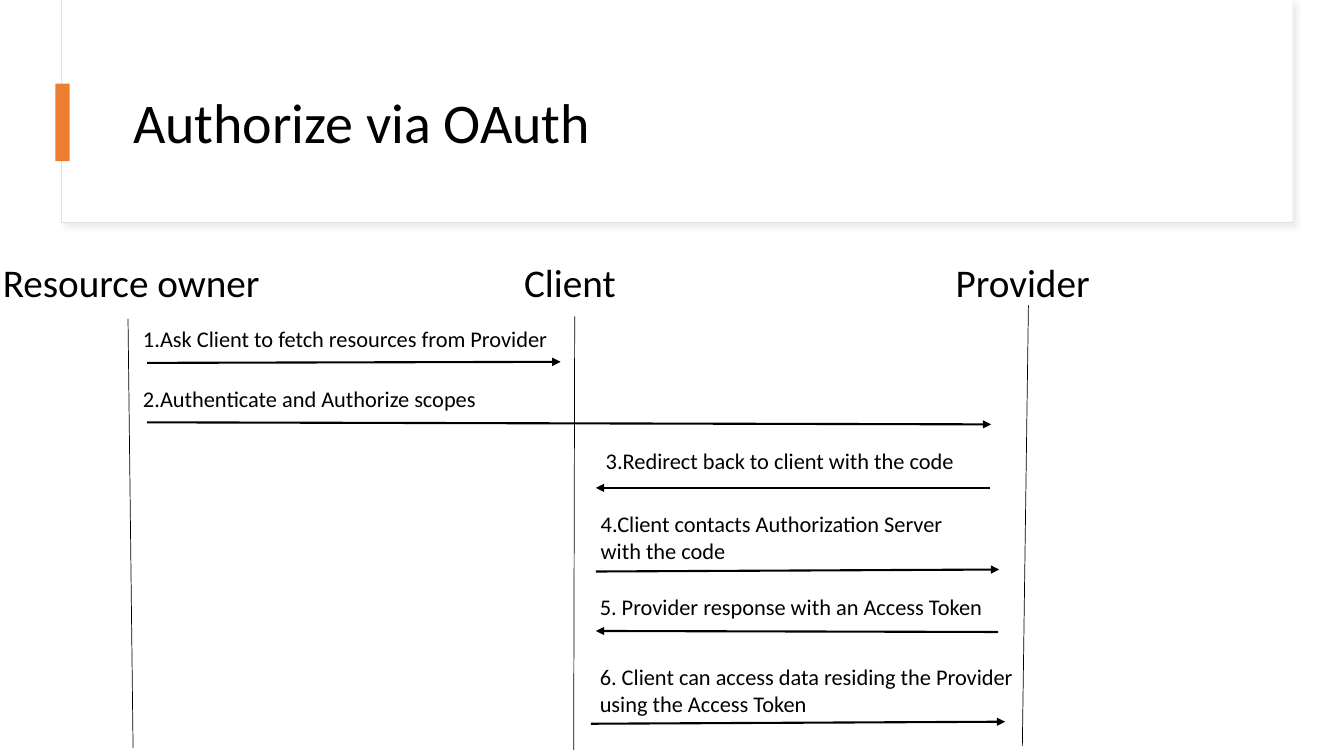
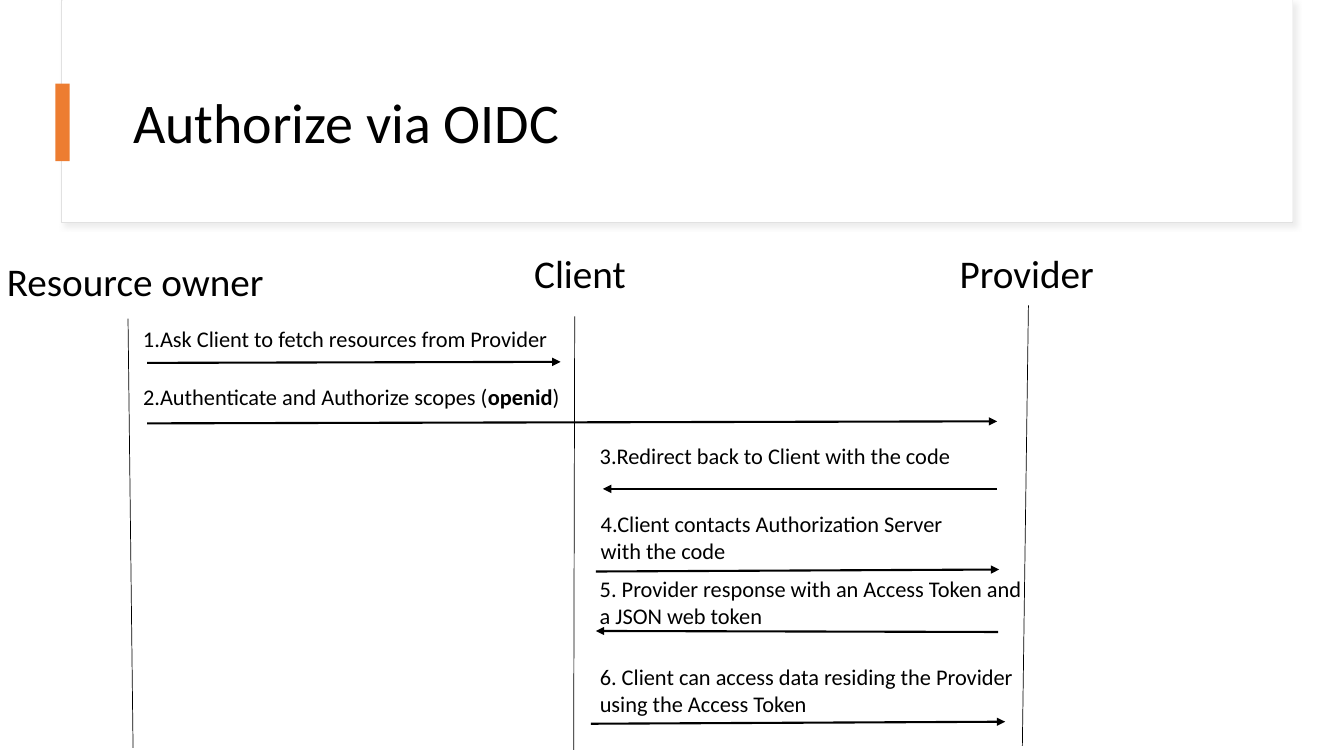
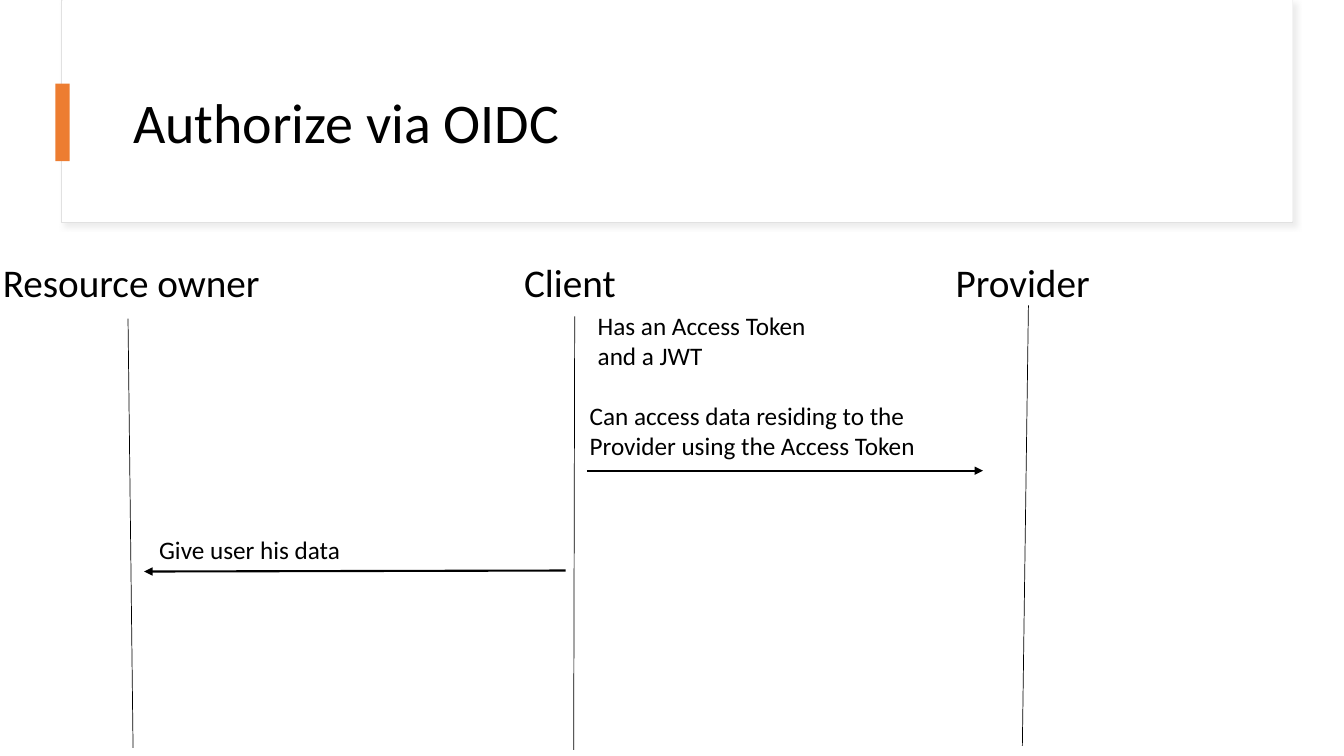
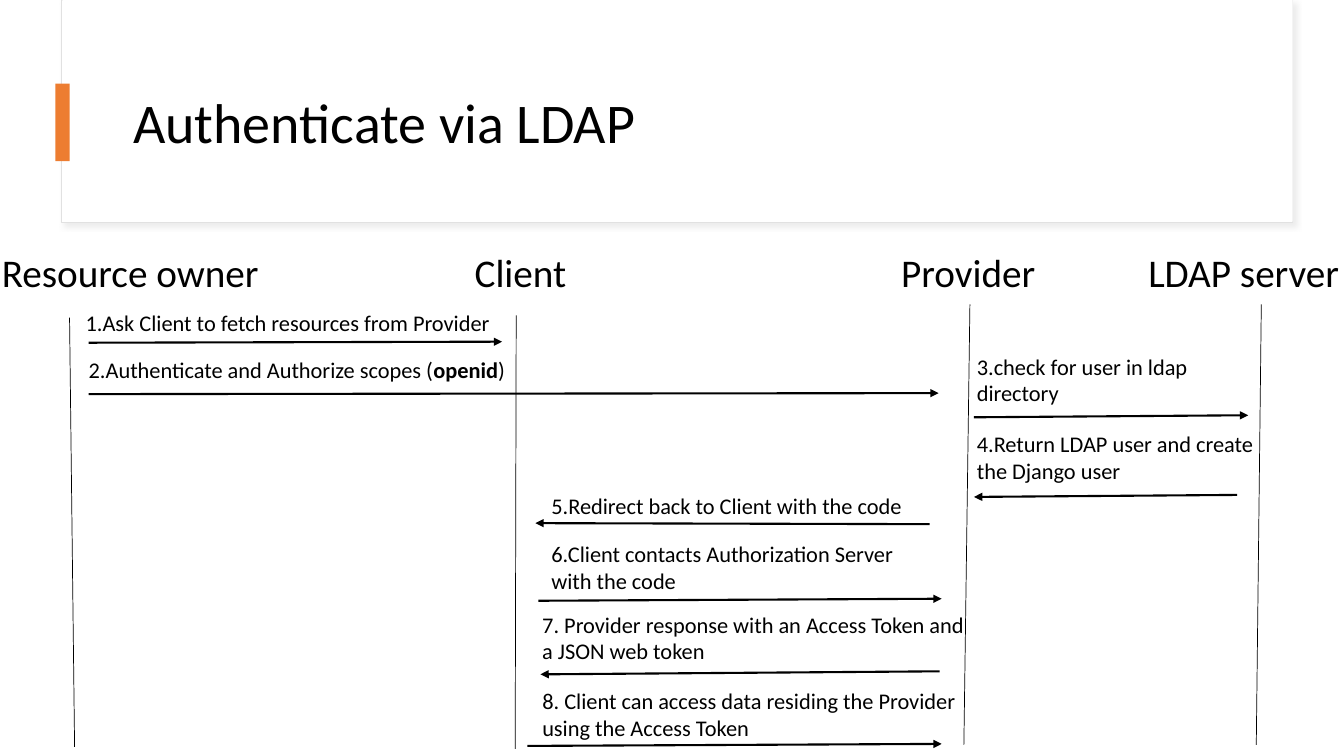
"""Builds four sequence diagrams of authorization and authentication flows."""
from lxml import etree
from pptx import Presentation
from pptx.dml.color import RGBColor
from pptx.enum.shapes import MSO_CONNECTOR, MSO_SHAPE
from pptx.enum.text import MSO_ANCHOR, MSO_AUTO_SIZE, PP_ALIGN
from pptx.oxml.ns import qn
from pptx.util import Inches, Pt

BLACK = RGBColor(0x00, 0x00, 0x00)
WHITE = RGBColor(0xFF, 0xFF, 0xFF)
BORDER = RGBColor(0xE1, 0xE1, 0xE1)
SHADOW = RGBColor(0xD9, 0xD9, 0xD9)
ORANGE = RGBColor(0xED, 0x7D, 0x31)
FONT = "Calibri"

RECTANGLE = MSO_SHAPE.RECTANGLE
STRAIGHT = MSO_CONNECTOR.STRAIGHT
MIDDLE = MSO_ANCHOR.MIDDLE
TOP = MSO_ANCHOR.TOP
LEFT = PP_ALIGN.LEFT
NO_FIT = MSO_AUTO_SIZE.NONE
GROW = MSO_AUTO_SIZE.SHAPE_TO_FIT_TEXT

TITLE_ONLY = 5
ONE_LINE = 0.37
TWO_LINES = 0.64
ACTOR_WIDTHS = {"Resource owner": 3.61, "Client": 2.1, "Provider": 1.97, "LDAP server": 2.32}
OWNER_LINE = ((1.27, 3.16), (1.32, 7.42))
CLIENT_LINE = ((5.7, 3.14), (5.69, 7.44))
PROVIDER_LINE = ((10.2, 3.03), (10.14, 7.4))

ASK = "1.Ask Client to fetch resources from Provider"
SCOPES = "2.Authenticate and Authorize scopes"
OPENID_SCOPES = SCOPES + " (openid)"
REDIRECT = "Redirect back to Client with the code"
CONTACT = "Client contacts Authorization Server with the\u00a0code"
RESPONSE = "Provider response with an Access Token"
JWT_RESPONSE = RESPONSE + " and\na JSON web token"
ACCESS = "Client can access data residing the Provider using the Access Token"


def write(frame, text, size=16, bold="", anchor=TOP, fit=GROW, spacing=1.0):
    """Fill a text frame, one paragraph a line, with one phrase optionally bold."""
    frame.word_wrap = True
    frame.auto_size = fit
    frame.vertical_anchor = anchor
    for index, line in enumerate(text.split("\n")):
        paragraph = frame.add_paragraph() if index else frame.paragraphs[0]
        paragraph.alignment = LEFT
        paragraph.line_spacing = spacing
        for part in line.partition(bold) if bold else (line,):
            run = paragraph.add_run()
            run.text = part
            run.font.name = FONT
            run.font.size = Pt(size)
            run.font.bold = part == bold
            run.font.color.rgb = BLACK


class SequenceDeck:
    """Holds the presentation style and the slide being drawn."""

    def __init__(self):
        self.prs = Presentation()
        self.prs.slide_width = Inches(13.33)
        self.prs.slide_height = Inches(7.5)
        self.slide = None

    def start(self, heading):
        self.slide = self.prs.slides.add_slide(self.prs.slide_layouts[TITLE_ONLY])
        band = self.block(0.61, 0, 12.21, 2.21, WHITE, BORDER)
        self.cast_shadow(band)
        face = self.block(0.62, 0, 12.2, 2.2, WHITE)
        title = self.slide.shapes.title
        title.left, title.top = Inches(1.22), Inches(0.6)
        title.width, title.height = Inches(11.12), Inches(1.29)
        write(title.text_frame, heading, size=40, anchor=MIDDLE, fit=NO_FIT, spacing=0.9)
        face.element.addnext(title.element)
        self.block(0.55, 0.83, 0.14, 0.77, ORANGE)

    def block(self, left, top, width, height, fill, border=None):
        block = self.slide.shapes.add_shape(
            RECTANGLE, Inches(left), Inches(top), Inches(width), Inches(height))
        block.shadow.inherit = False
        block.fill.solid()
        block.fill.fore_color.rgb = fill
        if border is None:
            block.line.fill.background()
        else:
            block.line.color.rgb = border
            block.line.width = Pt(0.75)
        return block

    def cast_shadow(self, block):
        effects = block.element.spPr.find(qn("a:effectLst"))
        outer = etree.SubElement(effects, qn("a:outerShdw"), blurRad=str(Pt(4)),
                                 dist=str(Pt(3)), dir=str(45 * 60000), algn="tl",
                                 rotWithShape="0")
        tint = etree.SubElement(outer, qn("a:srgbClr"), val=str(SHADOW))
        etree.SubElement(tint, qn("a:alpha"), val="50000")

    def label(self, text, left, top, width, height, **style):
        box = self.slide.shapes.add_textbox(
            Inches(left), Inches(top), Inches(width), Inches(height))
        write(box.text_frame, text, **style)

    def actors(self, top, **lefts_by_name):
        for key, left in lefts_by_name.items():
            name = key.replace("_", " ")
            self.label(name, left, top, ACTOR_WIDTHS[name], 0.57, size=28)

    def line(self, start, end, weight):
        line = self.slide.shapes.add_connector(
            STRAIGHT, *(Inches(value) for value in (*start, *end)))
        line.line.color.rgb = BLACK
        line.line.width = Pt(weight)
        etree.SubElement(line.element.spPr, qn("a:effectLst"))
        return line

    def lifelines(self, dx=0, dy=0):
        for ends in (OWNER_LINE, CLIENT_LINE, PROVIDER_LINE):
            start, end = ((x + dx, y + dy) for x, y in ends)
            self.line(start, end, 0.5)

    def arrow(self, start, end):
        stroke = self.line(start, end, 1.5).element.spPr.find(qn("a:ln"))
        etree.SubElement(stroke, qn("a:tailEnd"), type="triangle")

    def message(self, text, box, start, end, **style):
        self.arrow(start, end)
        self.label(text, *box, **style)

    def common_steps(self):
        self.lifelines()
        self.message(ASK, (1.32, 3.18, 4.34, ONE_LINE), (1.46, 3.6), (5.56, 3.59))
        self.message("4." + CONTACT, (5.86, 5.01, 3.97, TWO_LINES), (5.91, 5.67), (9.91, 5.65))
        self.message("6. " + ACCESS, (5.85, 6.53, 4.58, TWO_LINES), (5.86, 7.18), (9.97, 7.16))


deck = SequenceDeck()

deck.start("Authorize via OAuth")
deck.actors(2.51, Resource_owner=-0.07, Client=5.1, Provider=9.38)
deck.common_steps()
deck.message(SCOPES, (1.32, 3.77, 4.04, ONE_LINE), (1.46, 4.19), (9.83, 4.21))
deck.message("3." + REDIRECT.replace("Client", "client"), (5.91, 4.39, 4.04, ONE_LINE),
             (9.82, 4.84), (5.91, 4.84))
deck.message("5. " + RESPONSE, (5.85, 5.84, 4.58, ONE_LINE), (9.9, 6.27), (5.91, 6.26))

deck.start("Authorize via\u00a0OIDC\u00a0")
deck.actors(2.42, Client=5.2, Provider=9.42)
deck.actors(2.5, Resource_owner=-0.03)
deck.common_steps()
deck.message(OPENID_SCOPES, (1.32, 3.75, 4.59, ONE_LINE), (1.46, 4.2), (9.89, 4.18),
             bold="openid")
deck.message("3." + REDIRECT, (5.85, 4.34, 4.04, ONE_LINE), (9.89, 4.85), (5.98, 4.85))
deck.message("5. " + JWT_RESPONSE, (5.85, 5.66, 4.73, TWO_LINES), (9.9, 6.27), (5.91, 6.26))

deck.start("Authorize via OIDC\u00a0")
deck.actors(2.51, Resource_owner=-0.07, Client=5.1, Provider=9.38)
deck.lifelines()
deck.label("Has an Access Token and a JWT", 5.83, 3.03, 2.53, 0.72, size=18)
deck.message("Can access data residing to the Provider using the Access Token",
             (5.75, 3.92, 3.84, 0.71), (5.82, 4.67), (9.75, 4.67), size=18)
deck.message("Give user his data\u00a0", (1.48, 5.25, 2.46, 0.4), (5.61, 5.66), (1.43, 5.67),
             size=18)

deck.start("Authenticate via LDAP")
deck.actors(2.41, Resource_owner=-0.08, Client=4.61, Provider=8.84, LDAP_server=11.29)
deck.lifelines(dx=-0.58, dy=-0.01)
deck.line((12.51, 3.02), (12.46, 7.39), 0.5)
deck.message(ASK, (0.75, 3.02, 4.34, ONE_LINE), (0.88, 3.4), (4.98, 3.39))
deck.message(OPENID_SCOPES, (0.78, 3.48, 4.59, ONE_LINE), (0.88, 3.91), (9.31, 3.9),
             bold="openid")
deck.message("3.check for user in ldap directory", (9.59, 3.45, 3.04, TWO_LINES),
             (9.66, 4.14), (12.38, 4.12))
deck.message("4.Return LDAP\u00a0user and create the Django user", (9.59, 4.22, 3.07, TWO_LINES),
             (12.27, 4.91), (9.66, 4.93))
deck.message("5." + REDIRECT, (5.37, 4.83, 4.04, ONE_LINE), (9.22, 5.2), (5.31, 5.19))
deck.message("6." + CONTACT, (5.37, 5.31, 3.97, TWO_LINES), (5.34, 5.96), (9.34, 5.94))
deck.message("7. " + JWT_RESPONSE, (5.28, 6.01, 4.73, TWO_LINES), (9.32, 6.66), (5.36, 6.69))
deck.message("8. " + ACCESS, (5.28, 6.77, 4.58, TWO_LINES), (5.23, 7.4), (9.34, 7.38))

deck.prs.save("out.pptx")
